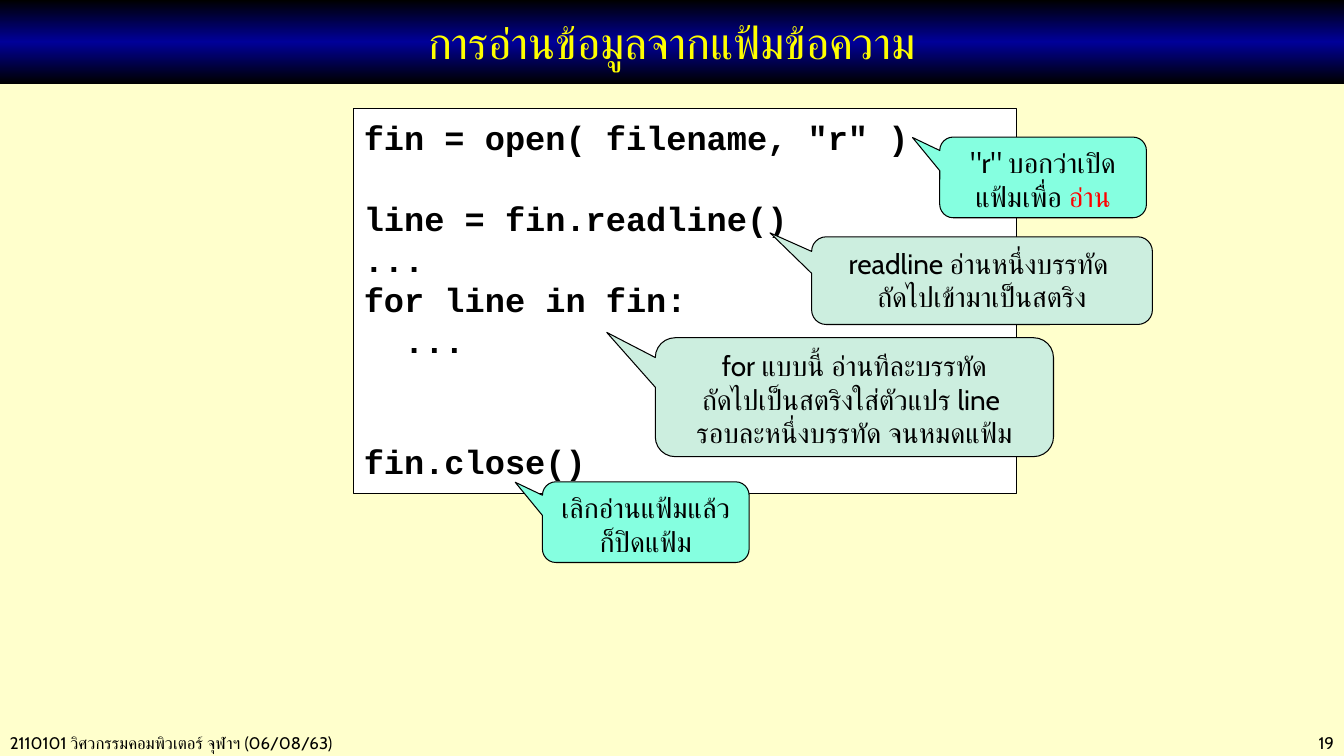
from copy import deepcopy
from pptx import Presentation
from pptx.dml.color import RGBColor
from pptx.enum.shapes import MSO_SHAPE
from pptx.enum.text import MSO_ANCHOR, PP_ALIGN
from pptx.oxml.ns import qn
from pptx.util import Inches, Pt

# Content: boxes are left, top, width, height in percent of the slide
TITLE = ("การอ่านข้อมูลจากแฟ้มข้อความ", (0, 0, 100, 11.07))
CODE_BOX = (26.33, 14.4, 49.29, 50.93)
CODE = [  # text, empty lines above it
    ('fin = open( filename, "r" )', 0),
    ("line = fin.readline()", 1),
    ("...", 0),
    ("for line in fin:", 0),
    ("  ...", 0),
    ("fin.close()", 2),
]
CALLOUTS = [  # box, style, runs of (text, colour)
    ((69.92, 18.13, 15.38, 10.67), "file",
     [('"r" บอกว่าเปิดแฟ้มเพื่อ ', "ink"), ("อ่าน", "accent")]),
    ((60.39, 31.33, 25.36, 11.6), "read",
     [("readline อ่านหนึ่งบรรทัด \vถัดไปเข้ามาเป็นสตริง", "ink")]),
    ((48.76, 44.67, 29.63, 15.73), "read",
     [("for แบบนี้ อ่านทีละบรรทัด\vถัดไปเป็นสตริงใส่ตัวแปร line \v"
       "รอบละหนึ่งบรรทัด จนหมดแฟ้ม", "ink")]),
    ((40.36, 63.73, 15.38, 10.67), "file",
     [("เลิกอ่านแฟ้มแล้วก็ปิดแฟ้ม", "ink")]),
]
FOOTERS = [
    ("2110101 วิศวกรรมคอมพิวเตอร์ จุฬาฯ (06/08/63)", (0, 96.27, 39, 4), PP_ALIGN.LEFT),
    ("19", (86.27, 96.27, 13.73, 4), PP_ALIGN.RIGHT),
]

THEME = {
    "page": "FFFFCC", "paper": "FFFFFF", "ink": "000000", "accent": "FF0000",
    "heading": "FFFF00", "band": ["000000", "000099", "000000"],
    "file": "85FFE0", "read": "CCEEDF",
    "sans": "Cabin", "mono": "Courier New",
    "title_size": 32, "code_size": 24, "note_size": 20, "footer_size": 12,
    "code_pitch": 28.9, "line": 0.75,
}
TAILS = {"file": (-0.632, -0.495, 0.167), "read": (-0.622, -0.545, 0.167)}

prs = Presentation()
prs.slide_width, prs.slide_height = Inches(13.33), Inches(7.5)
s = prs.slides.add_slide(prs.slide_layouts[6])


def color(name):
    return RGBColor.from_string(THEME[name])


def place(box):
    sides = (prs.slide_width, prs.slide_height) * 2
    return [int(side * share / 100) for side, share in zip(sides, box)]


def set_all(obj, **values):
    for name, value in values.items():
        setattr(obj, name, value)


def add_box(kind, box, fill=None):
    sp = s.shapes.add_shape(kind, *place(box))
    sp.shadow.inherit = False
    if fill:
        sp.fill.solid()
        sp.fill.fore_color.rgb = color(fill)
        sp.line.color.rgb = color("ink")
        sp.line.width = Pt(THEME["line"])
    set_all(sp.text_frame, word_wrap=True, vertical_anchor=MSO_ANCHOR.TOP)
    return sp


def write(p, text, size, ink="ink", font="sans", align=PP_ALIGN.CENTER, bold=False):
    p.alignment = align
    # A vertical tab is a line break inside the paragraph
    for i, line in enumerate(text.split("\v")):
        if i:
            p.add_line_break()
        r = p.add_run()
        r.text = line
        set_all(r.font, name=THEME[font], size=Pt(THEME[size]), bold=bold)
        r.font.color.rgb = color(ink)


# Background
s.background.fill.solid()
s.background.fill.fore_color.rgb = color("page")

# Footers
for text, box, align in FOOTERS:
    tf = s.shapes.add_textbox(*place(box)).text_frame
    tf.word_wrap = True
    write(tf.paragraphs[0], text, "footer_size", align=align)

# Title band with a three-stop gradient
text, box = TITLE
sp = add_box(MSO_SHAPE.RECTANGLE, box)
sp.line.fill.background()
sp.fill.gradient()
sp.fill.gradient_angle = 90
stops = sp._element.spPr.find(qn("a:gradFill")).find(qn("a:gsLst"))
stops.append(deepcopy(stops[0]))
for i, (stop, rgb) in enumerate(zip(sp.fill.gradient_stops, THEME["band"])):
    stop.position = i / 2
    stop.color.rgb = RGBColor.from_string(rgb)
sp.text_frame.vertical_anchor = MSO_ANCHOR.MIDDLE
write(sp.text_frame.paragraphs[0], text, "title_size", "heading")

# Code listing
tf = add_box(MSO_SHAPE.RECTANGLE, CODE_BOX, "paper").text_frame
set_all(tf, word_wrap=False, margin_top=Inches(0.08))
for i, (text, gap) in enumerate(CODE):
    p = tf.add_paragraph() if i else tf.paragraphs[0]
    pitch = THEME["code_pitch"]
    set_all(p, line_spacing=Pt(pitch), space_before=Pt(gap * pitch))
    write(p, text, "code_size", font="mono", align=PP_ALIGN.LEFT, bold=True)

# Callouts
for box, style, runs in CALLOUTS:
    sp = add_box(MSO_SHAPE.ROUNDED_RECTANGULAR_CALLOUT, box, style)
    for i, value in enumerate(TAILS[style]):
        sp.adjustments[i] = value
    for text, ink in runs:
        write(sp.text_frame.paragraphs[0], text, "note_size", ink)

prs.save("out.pptx")
